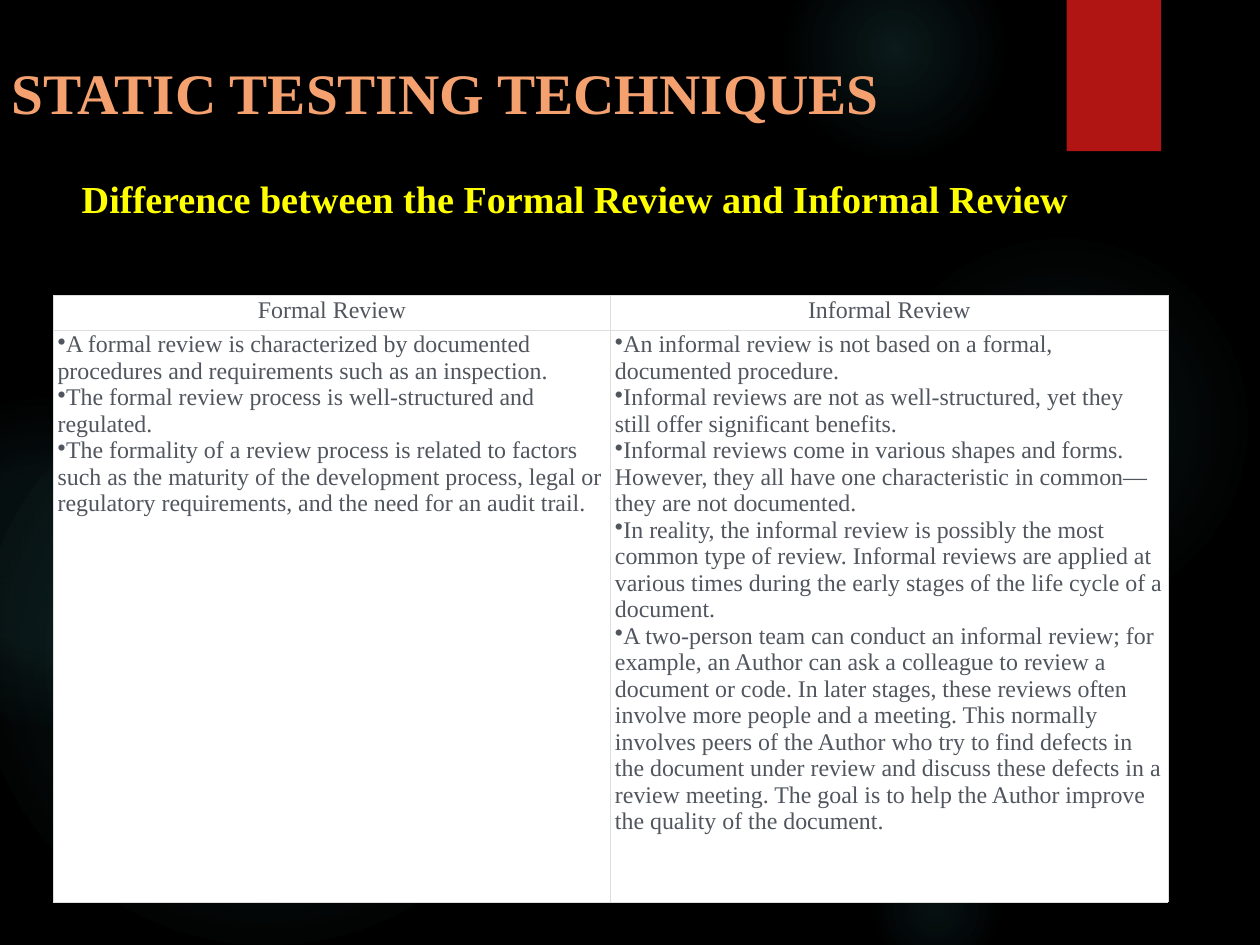
from pptx import Presentation
from pptx.dml.color import RGBColor
from pptx.enum.shapes import MSO_SHAPE
from pptx.enum.text import MSO_ANCHOR, PP_ALIGN
from pptx.oxml import parse_xml
from pptx.oxml.ns import nsdecls
from pptx.util import Inches, Pt

OVAL, RECT = MSO_SHAPE.OVAL, MSO_SHAPE.RECTANGLE
TOP = MSO_ANCHOR.TOP
LEFT, CENTER = PP_ALIGN.LEFT, PP_ALIGN.CENTER

THEME = {
    "back": "000000", "glow": "50B9C1", "tab": "B01513",
    "cell": "FFFFFF", "rule": "DDDDDD", "line": 0.75,
    "title": {"name": "Times New Roman", "size": Pt(48), "bold": True, "color": "F4A16F"},
    "lead": {"name": "Times New Roman", "size": Pt(32), "bold": True, "color": "FFFF00"},
    "body": {"name": "Times New Roman", "size": Pt(20), "bold": False, "color": "51565E"},
}

TITLE = "STATIC TESTING TECHNIQUES"
LEAD = "Difference between the Formal Review and Informal Review"
REVIEWS = {
    "Formal Review": [
        "A formal review is characterized by documented procedures and requirements such as an inspection.",
        "The formal review process is well-structured and regulated.",
        "The formality of a review process is related to factors such as the maturity of the development "
        "process, legal or regulatory requirements, and the need for an audit trail.",
    ],
    "Informal Review": [
        "An informal review is not based on a formal, documented procedure.",
        "Informal reviews are not as well-structured, yet they still offer significant benefits.",
        "Informal reviews come in various shapes and forms. However, they all have one characteristic "
        "in common—they are not documented.",
        "In reality, the informal review is possibly the most common type of review. Informal reviews "
        "are applied at various times during the early stages of the life cycle of a document.",
        "A two-person team can conduct an informal review; for example, an Author can ask a colleague "
        "to review a document or code. In later stages, these reviews often involve more people and a "
        "meeting. This normally involves peers of the Author who try to find defects in the document "
        "under review and discuss these defects in a review meeting. The goal is to help the Author "
        "improve the quality of the document.",
    ],
}

GLOWS = [
    (10.1, 2.69, 4.52, [(0, 7), (36, 6), (69, 0)]),
    (9.13, -0.73, 2.57, [(0, 14), (36, 7), (73, 0)]),
    (10.1, 9.78, 1.59, [(0, 9), (36, 5), (66, 0)]),
    (-0.25, 4.28, 6.72, [(0, 11), (36, 10), (75, 0)]),
    (-1.35, 4.64, 3.79, [(0, 8), (36, 8), (72, 0)]),
]
TAB = (12.42, 0, 1.1, 1.76)
TITLE_BOX = (0.04, 0.62, 13.56, 0.83)
LEAD_BOX = (0.62, 1.99, 12.16, 0.64)
GRID = (0.62, 3.44, 12.98, 7.06)
ROWS = (0.4, 6.66)


def tint(code):
    return RGBColor.from_string(code)


def place(box):
    return [Inches(v) for v in box]


def write(par, text, style, align=LEFT):
    par.alignment = align
    run = par.add_run()
    run.text = text
    for key, value in style.items():
        if key == "color":
            run.font.color.rgb = tint(value)
        else:
            setattr(run.font, key, value)


def add_shape(slide, kind, box):
    shape = slide.shapes.add_shape(kind, *place(box))
    shape.shadow.inherit = False
    shape.line.fill.background()
    return shape


def add_glow(slide, left, top, size, stops):
    shape = add_shape(slide, OVAL, (left, top, size, size))
    shape.fill.background()
    marks = "".join(
        f'<a:gs pos="{pos * 1000}"><a:srgbClr val="{THEME["glow"]}">'
        f'<a:alpha val="{alpha * 1000}"/></a:srgbClr></a:gs>' for pos, alpha in stops)
    grad = parse_xml(
        f'<a:gradFill {nsdecls("a")} rotWithShape="1"><a:gsLst>{marks}</a:gsLst>'
        '<a:path path="circle"><a:fillToRect l="50000" t="50000" r="50000" b="50000"/>'
        '</a:path></a:gradFill>')
    props = shape._element.spPr
    props.replace(props.find("{*}noFill"), grad)


def add_tab(slide):
    shape = add_shape(slide, RECT, TAB)
    shape.fill.solid()
    shape.fill.fore_color.rgb = tint(THEME["tab"])
    shape._element.spPr.find("{*}effectLst").append(parse_xml(
        f'<a:outerShdw {nsdecls("a")} blurRad="{Pt(3)}" dist="{Pt(2)}" dir="5400000" rotWithShape="0">'
        '<a:srgbClr val="000000"><a:alpha val="45000"/></a:srgbClr></a:outerShdw>'))


def add_label(slide, box, text, style, align):
    frame = slide.shapes.add_textbox(*place(box)).text_frame
    frame.word_wrap = True
    write(frame.paragraphs[0], text, style, align)


def fill_cell(cell, lines, align, mark):
    form = {"margin_left": Inches(0.05), "margin_right": Inches(0.05),
            "margin_top": Inches(0.02), "margin_bottom": Inches(0.02),
            "vertical_anchor": TOP}
    for key, value in form.items():
        setattr(cell, key, value)
    props = cell._tc.get_or_add_tcPr()
    for side in "LRTB":
        props.append(parse_xml(
            f'<a:ln{side} {nsdecls("a")} w="{Pt(THEME["line"])}"><a:solidFill>'
            f'<a:srgbClr val="{THEME["rule"]}"/></a:solidFill></a:ln{side}>'))
    cell.fill.solid()
    cell.fill.fore_color.rgb = tint(THEME["cell"])
    frame = cell.text_frame
    for i, line in enumerate(lines):
        par = frame.add_paragraph() if i else frame.paragraphs[0]
        write(par, line, THEME["body"], align)
        if mark:
            par._p.get_or_add_pPr().append(
                parse_xml(f'<a:buChar {nsdecls("a")} char="{mark}"/>'))


def add_grid(slide):
    table = slide.shapes.add_table(len(ROWS), len(REVIEWS), *place(GRID)).table
    for row, high in zip(table.rows, ROWS):
        row.height = Inches(high)
    for col, (head, points) in enumerate(REVIEWS.items()):
        table.columns[col].width = Inches(GRID[2] / len(REVIEWS))
        fill_cell(table.cell(0, col), [head], CENTER, None)
        fill_cell(table.cell(1, col), points, LEFT, "•")


def main():
    deck = Presentation()
    deck.slide_width, deck.slide_height = Inches(14.67), Inches(11)
    slide = deck.slides.add_slide(deck.slide_layouts[6])
    back = slide.background.fill
    back.solid()
    back.fore_color.rgb = tint(THEME["back"])
    for glow in GLOWS:
        add_glow(slide, *glow)
    add_tab(slide)
    add_label(slide, TITLE_BOX, TITLE, THEME["title"], LEFT)
    add_grid(slide)
    add_label(slide, LEAD_BOX, LEAD, THEME["lead"], CENTER)
    deck.save("out.pptx")


if __name__ == "__main__":
    main()
